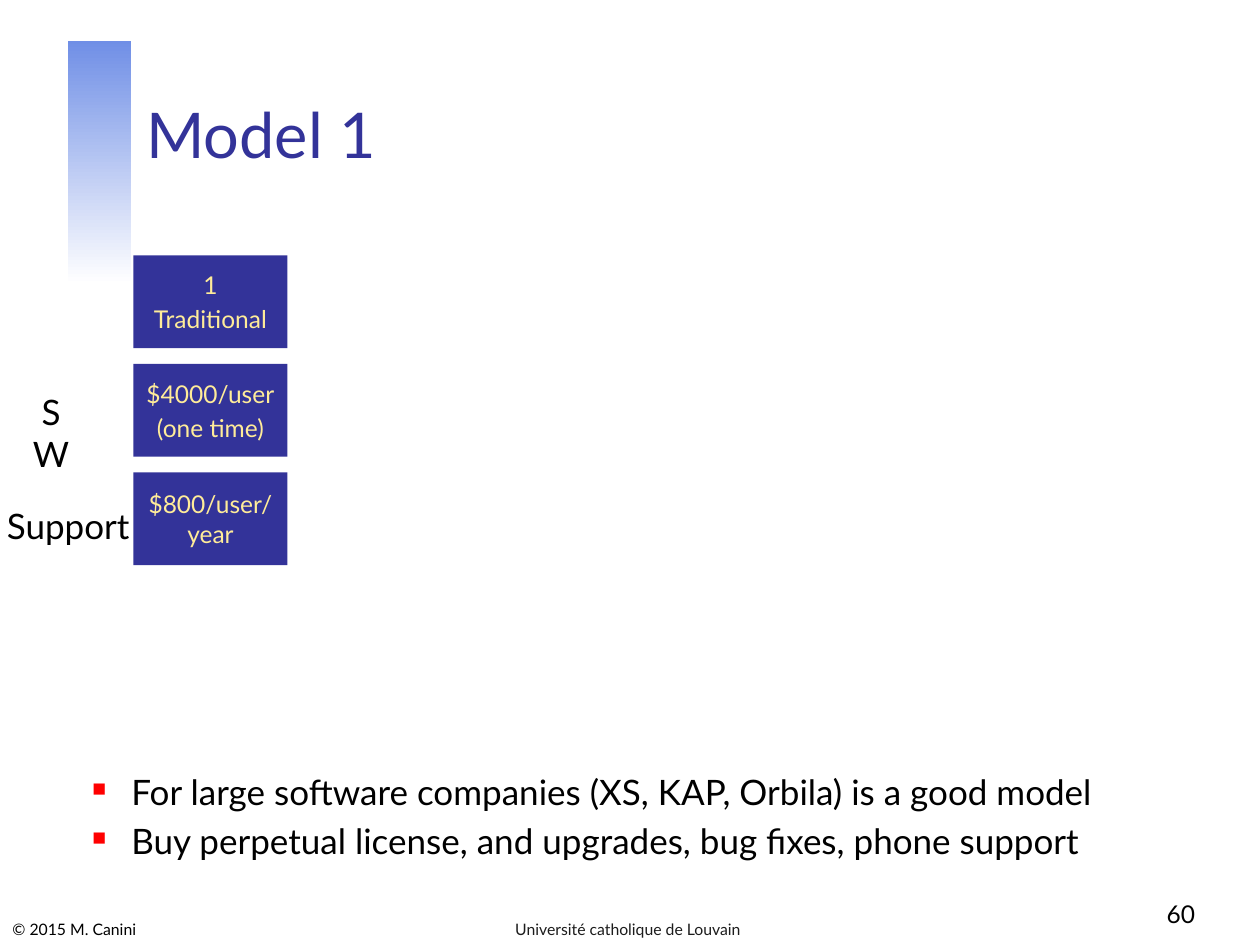
from lxml import etree
from pptx import Presentation
from pptx.dml.color import RGBColor
from pptx.enum.shapes import MSO_SHAPE as SHAPE
from pptx.enum.text import MSO_ANCHOR as ANCHOR, PP_ALIGN as ALIGN
from pptx.oxml.ns import qn
from pptx.util import Pt

C = {
    "navy": "333399", "cream": "FFEC99", "black": "000000", "footer": "1C1C1C",
    "blue": "708FE6", "white": "FFFFFF", "red": "FF0000",
}


def rgb(name):
    return RGBColor.from_string(C[name])


def write(sp, text, size, color, align=ALIGN.LEFT, anchor=ANCHOR.TOP, margin=7.2):
    tf = sp.text_frame
    tf.word_wrap = True
    tf.vertical_anchor = anchor
    tf.margin_left = tf.margin_right = Pt(margin)
    tf.text = text
    for i, p in enumerate(tf.paragraphs):
        p.alignment = align
        p.space_before = Pt(size * 0.2 if i else 0)
        for r in p.runs:
            r.font.size = Pt(size)
            r.font.name = "Lato"
            r.font.color.rgb = rgb(color)
    return tf


prs = Presentation()
prs.slide_width, prs.slide_height = Pt(720), Pt(540)
s = prs.slides.add_slide(prs.slide_layouts[6])

band = s.shapes.add_shape(SHAPE.RECTANGLE, Pt(39), Pt(23.3), Pt(36), Pt(139))
band.shadow.inherit = False
band.line.fill.background()
band.fill.gradient()
band.fill.gradient_angle = 270
for stop, name in zip(band.fill.gradient_stops, ("blue", "white")):
    stop.color.rgb = rgb(name)

texts = [
    ("© 2015 M. Canini", 0, 520, 217.5, 20, 9, "black", ALIGN.LEFT, ANCHOR.BOTTOM),
    ("Model 1", 76.5, 24, 613.5, 77.5, 36, "navy", ALIGN.LEFT, ANCHOR.BOTTOM),
    ("60", 540, 498, 150, 36, 14, "black", ALIGN.RIGHT, ANCHOR.BOTTOM),
    ("Université catholique de Louvain", 245, 520, 227.5, 20, 9, "footer", ALIGN.CENTER, ANCHOR.BOTTOM),
    ("SW", 9.2, 219.5, 40, 55, 20, "black", ALIGN.CENTER),
    ("Support", -3, 284.5, 84, 31.5, 20, "black", ALIGN.CENTER, ANCHOR.TOP, 2),
]
for text, x, y, w, h, *style in texts:
    write(s.shapes.add_textbox(Pt(x), Pt(y), Pt(w), Pt(h)), text, *style)

cells = ["1\nTraditional", "$4000/user\n(one time)", "$800/user/\vyear"]
for i, text in enumerate(cells):
    sp = s.shapes.add_shape(SHAPE.RECTANGLE, Pt(76.3), Pt(146 + 62 * i), Pt(88), Pt(53))
    sp.shadow.inherit = False
    sp.fill.solid()
    sp.fill.fore_color.rgb = rgb("navy")
    sp.line.fill.background()
    tf = write(sp, text, 14, "cream", ALIGN.CENTER, ANCHOR.MIDDLE, 3)
    tf.margin_top = tf.margin_bottom = Pt(14.5)

points = [
    "For large software companies (XS, KAP, Orbila) is a good model",
    "Buy perpetual license, and upgrades, bug fixes, phone support",
]
body = s.shapes.add_textbox(Pt(9.5), Pt(437), Pt(680.5), Pt(67.5))
for p in write(body, "\n".join(points), 20, "black").paragraphs:
    p.level = 1
    pPr = p._p.get_or_add_pPr()
    pPr.set("marL", str(Pt(58.5)))
    pPr.set("indent", str(Pt(-22.5)))
    color = etree.SubElement(pPr, qn("a:buClr"))
    etree.SubElement(color, qn("a:srgbClr"), val=C["red"])
    etree.SubElement(pPr, qn("a:buSzPct"), val="55000")
    etree.SubElement(pPr, qn("a:buChar"), char="■")

prs.save("out.pptx")
